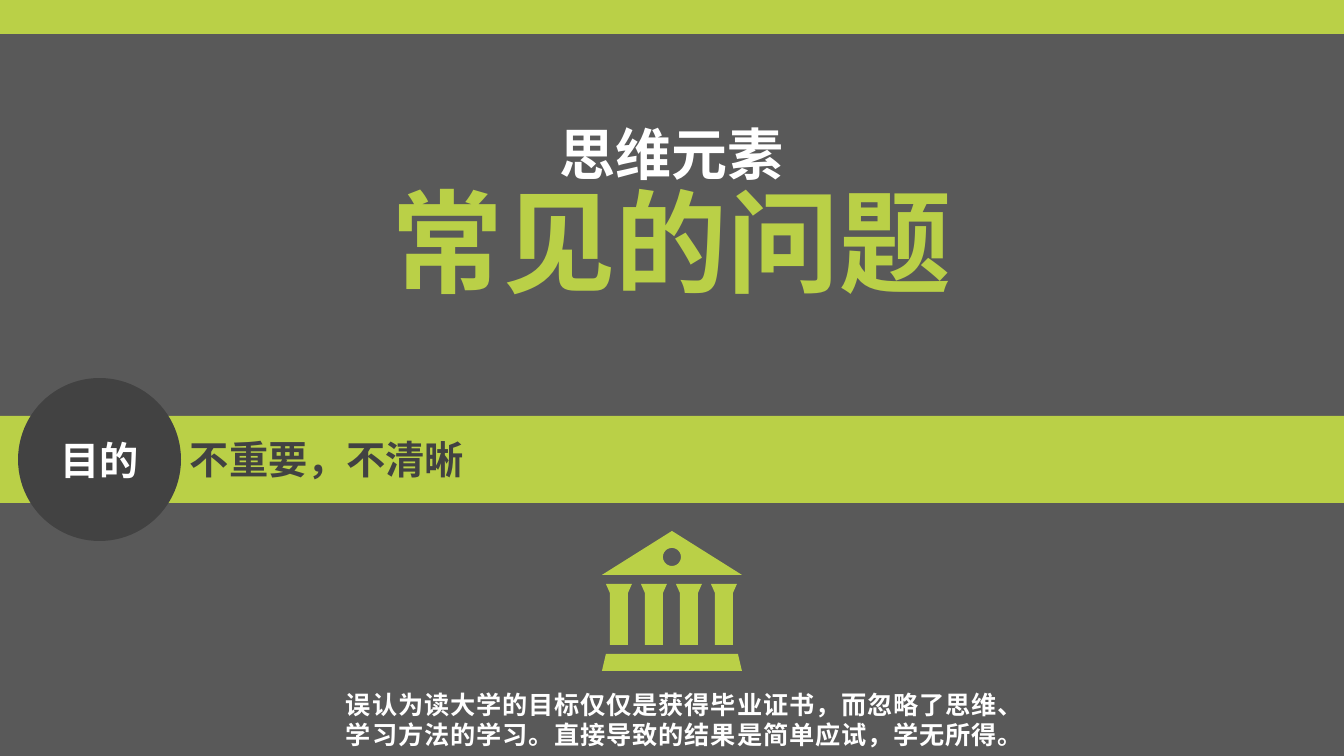
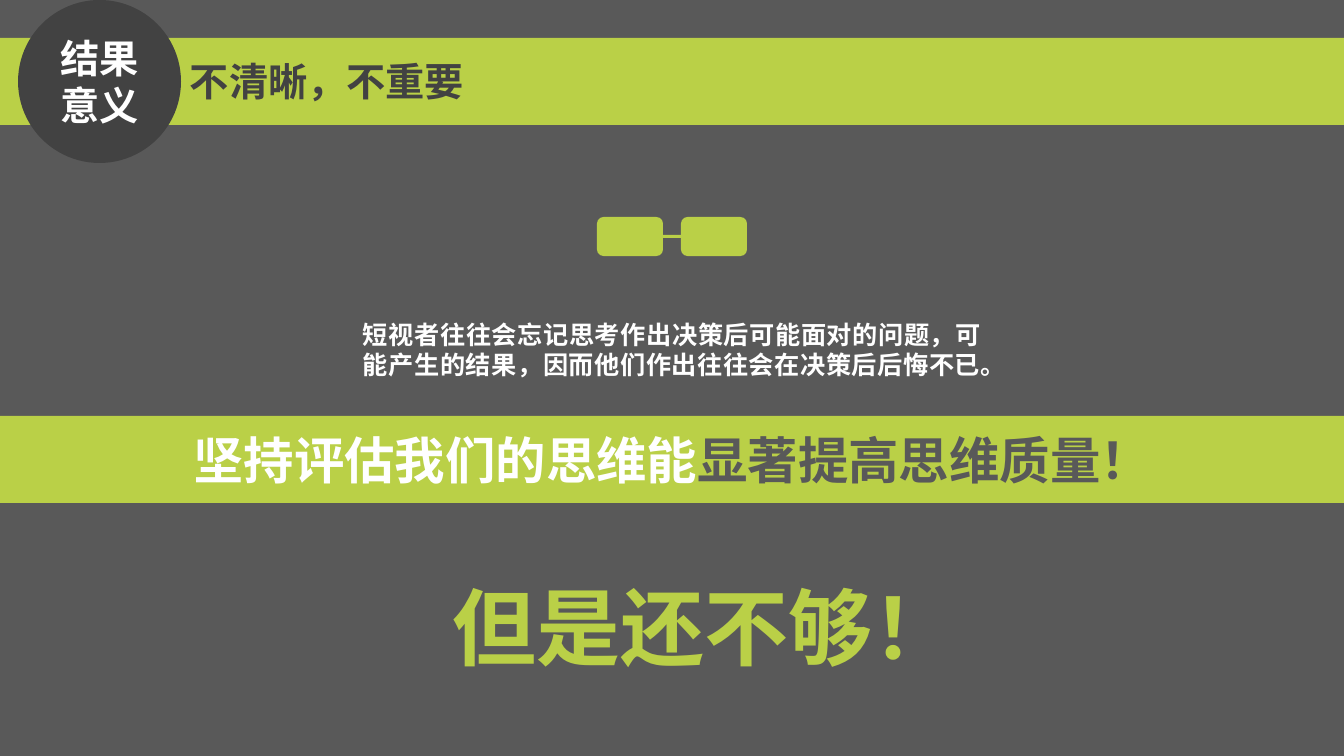
"""Build two slides on common problems with the elements of thinking."""
import math

from lxml import etree
from pptx import Presentation
from pptx.dml.color import RGBColor
from pptx.enum.shapes import MSO_SHAPE
from pptx.enum.text import MSO_ANCHOR, MSO_AUTO_SIZE, PP_ALIGN
from pptx.oxml.ns import qn
from pptx.util import Pt

RECTANGLE, ROUNDED, OVAL = MSO_SHAPE.RECTANGLE, MSO_SHAPE.ROUNDED_RECTANGLE, MSO_SHAPE.OVAL
LEFT, CENTER, JUSTIFY = PP_ALIGN.LEFT, PP_ALIGN.CENTER, PP_ALIGN.JUSTIFY
MIDDLE = MSO_ANCHOR.MIDDLE
GROW, FIXED = MSO_AUTO_SIZE.SHAPE_TO_FIT_TEXT, MSO_AUTO_SIZE.NONE

EMU_PER_PX = 914400 / 100.8
WIDTH, HEIGHT = 1344, 756
FONT = "Noto Sans CJK SC"
GRAY, DARK, LIME, WHITE = "595959", "424242", "BAD047", "FFFFFF"

BAND_HEIGHT, CIRCLE_SIZE, HEADING_HEIGHT = 87, 163, 58
CIRCLE_LEFT, HEADING_LEFT, HEADING_WIDTH = 18, 180, 329

TITLE = [("思维元素", 40, WHITE), ("常见的问题", 80, LIME)]
PURPOSE = ("目的", "不重要，不清晰")
PURPOSE_NOTE = "误认为读大学的目标仅仅是获得毕业证书，而忽略了思维、学习方法的学习。直接导致的结果是简单应试，学无所得。"
RESULT = ("结果意义", "不清晰，不重要")
RESULT_NOTE = "短视者往往会忘记思考作出决策后可能面对的问题，可能产生的结果，因而他们作出往往会在决策后后悔不已。"
ADVICE = [("坚持评估我们的思维能", WHITE), ("显著提高思维质量！", GRAY)]
CLOSING = "但是还不够！"

ROOF = [(672, 531), (602, 575), (742, 575)]
BASE = [(606, 654), (602, 671), (742, 671), (738, 654)]
COLUMN = [(606, 584), (610, 593), (610, 645), (628, 645), (628, 593), (632, 584)]
COLUMN_COUNT, COLUMN_STEP = 4, 35
WINDOW_CENTER, WINDOW_RADIUS, WINDOW_POINTS = (672, 557), 9, 48
GLASSES = [(597, 217, 66, 39), (681, 217, 66, 39), (643, 235, 57, 3)]


def px(length):
    return round(length * EMU_PER_PX)


def color(value):
    return RGBColor.from_string(value)


def style(paragraph, size, fill, align):
    paragraph.alignment = align
    font = paragraph.font
    font.size, font.bold, font.name = Pt(size), True, FONT
    font.color.rgb = color(fill)
    defaults = paragraph._p.pPr.find(qn("a:defRPr"))
    etree.SubElement(defaults, qn("a:ea")).set("typeface", FONT)


def paint(shape, fill):
    shape.shadow.inherit = False
    shape.fill.solid()
    shape.fill.fore_color.rgb = color(fill)
    shape.line.fill.background()


def add_box(slide, kind, box, fill):
    shape = slide.shapes.add_shape(kind, *map(px, box))
    paint(shape, fill)
    shape.text_frame.word_wrap = True
    shape.text_frame.vertical_anchor = MIDDLE
    return shape


def add_text(slide, box, lines, align, auto_size=GROW, spacing=None):
    frame = slide.shapes.add_textbox(*map(px, box)).text_frame
    frame.word_wrap = True
    frame.auto_size = auto_size
    for index, (text, size, fill) in enumerate(lines):
        paragraph = frame.add_paragraph() if index else frame.paragraphs[0]
        paragraph.text = text
        paragraph.line_spacing = spacing
        style(paragraph, size, fill, align)


def add_band(slide, top, height=BAND_HEIGHT):
    return add_box(slide, RECTANGLE, (0, top, WIDTH, height), LIME)


def add_section(slide, top, label, heading):
    add_band(slide, top)
    circle_top = top - (CIRCLE_SIZE - BAND_HEIGHT) / 2
    circle = add_box(slide, OVAL, (CIRCLE_LEFT, circle_top, CIRCLE_SIZE, CIRCLE_SIZE), DARK)
    paragraph = circle.text_frame.paragraphs[0]
    paragraph.text = label
    style(paragraph, 28, WHITE, CENTER)
    heading_top = top + (BAND_HEIGHT - HEADING_HEIGHT) / 2
    add_text(slide, (HEADING_LEFT, heading_top, HEADING_WIDTH, HEADING_HEIGHT),
             [(heading, 28, DARK)], LEFT)


def add_building(slide):
    columns = [[(x + index * COLUMN_STEP, y) for x, y in COLUMN] for index in range(COLUMN_COUNT)]
    center_x, center_y = WINDOW_CENTER
    angles = [2 * math.pi * index / WINDOW_POINTS for index in range(WINDOW_POINTS)]
    window = [(center_x + WINDOW_RADIUS * math.cos(angle),
               center_y + WINDOW_RADIUS * math.sin(angle)) for angle in angles]
    outlines = [[(px(x), px(y)) for x, y in outline] for outline in (ROOF, *columns, BASE, window)]
    builder = slide.shapes.build_freeform(*outlines[0][0])
    for index, (start, *rest) in enumerate(outlines):
        if index:
            builder.move_to(*start)
        builder.add_line_segments(rest, close=True)
    paint(builder.convert_to_shape(), LIME)


def add_slide(presentation):
    slide = presentation.slides.add_slide(presentation.slide_layouts[6])
    slide.background.fill.solid()
    slide.background.fill.fore_color.rgb = color(GRAY)
    return slide


def build_purpose(slide):
    add_text(slide, (311, 122, 721, 87), TITLE, CENTER, FIXED, 0.9)
    add_section(slide, 416, *PURPOSE)
    add_text(slide, (336, 684, 672, 72), [(PURPOSE_NOTE, 18, WHITE)], JUSTIFY)
    add_building(slide)
    add_band(slide, 0, 34)


def build_result(slide):
    paragraph = add_band(slide, 416).text_frame.paragraphs[0]
    for text, fill in ADVICE:
        run = paragraph.add_run()
        run.text = text
        run.font.color.rgb = color(fill)
    style(paragraph, 36, WHITE, CENTER)
    add_section(slide, 38, *RESULT)
    add_text(slide, (353, 314, 638, 72), [(RESULT_NOTE, 18, WHITE)], JUSTIFY)
    for box in GLASSES:
        add_box(slide, ROUNDED, box, LIME)
    add_text(slide, (274, 571, 861, 112), [(CLOSING, 60, LIME)], CENTER)


def main():
    presentation = Presentation()
    presentation.slide_width, presentation.slide_height = px(WIDTH), px(HEIGHT)
    for build in (build_purpose, build_result):
        build(add_slide(presentation))
    presentation.save("out.pptx")


if __name__ == "__main__":
    main()
